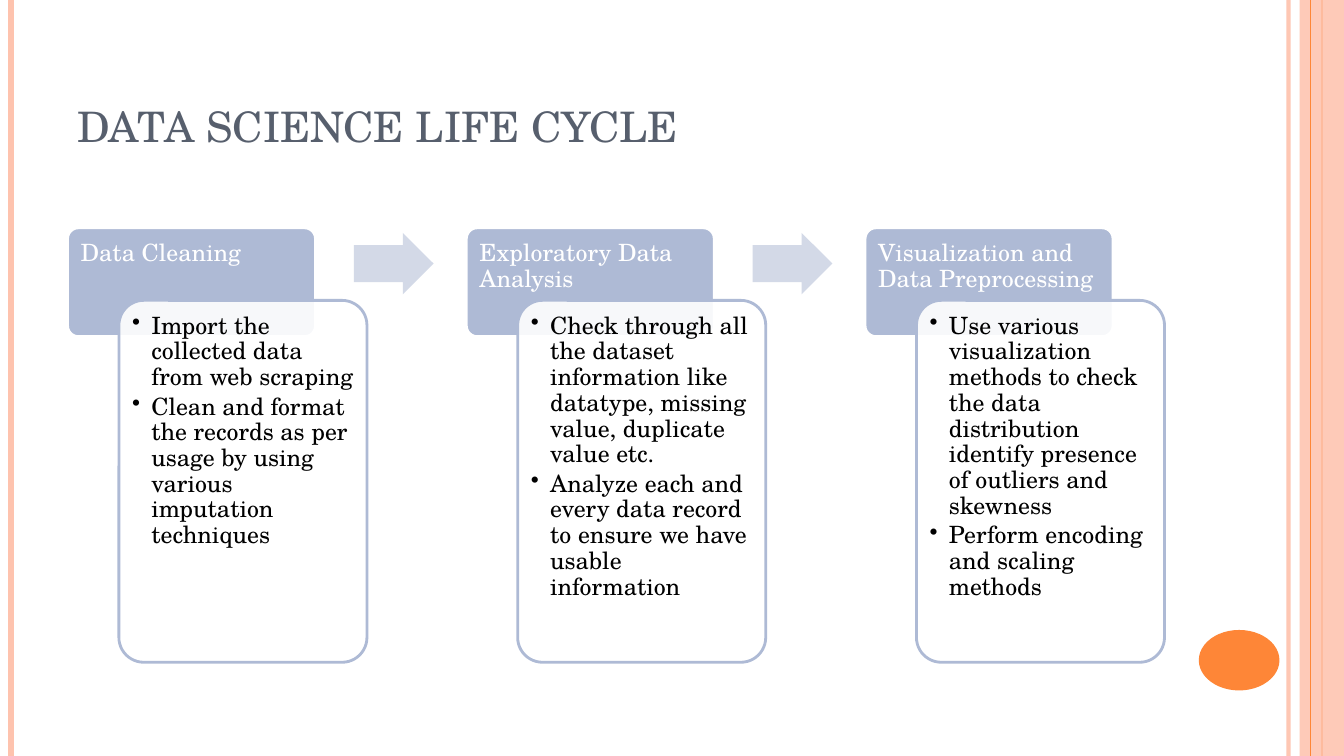
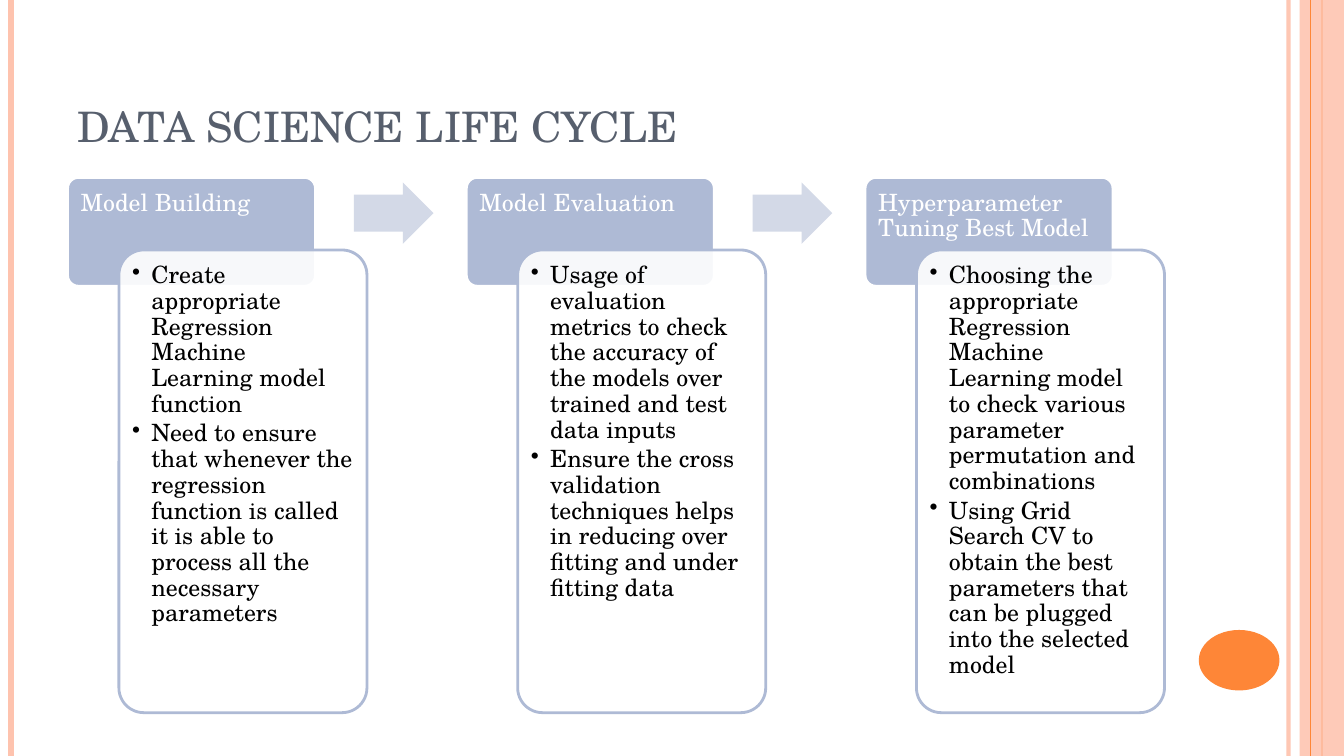
from lxml import etree
from pptx import Presentation
from pptx.dml.color import RGBColor
from pptx.enum.shapes import MSO_CONNECTOR, MSO_SHAPE
from pptx.enum.text import MSO_ANCHOR, PP_ALIGN
from pptx.oxml.ns import qn
from pptx.util import Emu, Pt

PX = 9144  # 100 px to the inch
SLIDE_W, SLIDE_H = 1333, 750
FONT = "TeX Gyre Schola"
COLORS = {
    "white": "FFFFFF",
    "black": "000000",
    "title": "575F6D",
    "peach": "FEC3AE",
    "orange": "FE8637",
    "header": "AEBAD5",
    "arrow": "D3D9E7",
}

STRAIGHT = MSO_CONNECTOR.STRAIGHT
RECT = MSO_SHAPE.RECTANGLE
ROUND_RECT = MSO_SHAPE.ROUNDED_RECTANGLE
RIGHT_ARROW = MSO_SHAPE.RIGHT_ARROW
OVAL = MSO_SHAPE.OVAL
LEFT = PP_ALIGN.LEFT
TOP, BOTTOM = MSO_ANCHOR.TOP, MSO_ANCHOR.BOTTOM

TITLE = "DATA SCIENCE LIFE CYCLE"
TITLE_BOX = (67, 30, 1089, 125)
CARD_W, HEADER_H = 246, 108
BODY_DX, BODY_DY = 51, 72
ARROW_DX, ARROW_DY, ARROW_W, ARROW_H = 284, 5, 79, 61

SLIDES = [
    ((67, 226, 1088, 431), [
        ("Data Cleaning", [
            "Import the collected data from web scraping",
            "Clean and format the records as per usage by using various "
            "imputation techniques"]),
        ("Exploratory Data Analysis", [
            "Check through all the dataset information like datatype, "
            "missing value, duplicate value etc.",
            "Analyze each and every data record to ensure we have usable "
            "information"]),
        ("Visualization and Data Preprocessing", [
            "Use various visualization methods to check the data "
            "distribution identify presence of outliers and skewness",
            "Perform encoding and scaling methods"]),
    ]),
    ((67, 176, 1088, 531), [
        ("Model Building", [
            "Create appropriate Regression Machine Learning model function",
            "Need to ensure that whenever the regression function is called "
            "it is able to process all the necessary parameters"]),
        ("Model Evaluation", [
            "Usage of evaluation metrics to check the accuracy of the models "
            "over trained and test data inputs",
            "Ensure the cross validation techniques helps in reducing over "
            "fitting and under fitting data"]),
        ("Hyperparameter Tuning Best Model", [
            "Choosing the appropriate Regression Machine Learning model to "
            "check various parameter permutation and combinations",
            "Using Grid Search CV to obtain the best parameters that can be "
            "plugged into the selected model"]),
    ]),
]


def px(n):
    return Emu(round(n * PX))


def rgb(name):
    return RGBColor.from_string(COLORS[name])


def set_alpha(parent, percent):
    """Make the solid fill of a shape or line partly transparent."""
    clr = parent.find(qn("a:solidFill")).find(qn("a:srgbClr"))
    etree.SubElement(clr, qn("a:alpha")).set("val", str(percent * 1000))


def add_box(slide, kind, box, fill, line=None, alpha=None, adj=()):
    sp = slide.shapes.add_shape(kind, *map(px, box))
    sp.shadow.inherit = False
    sp.fill.solid()
    sp.fill.fore_color.rgb = rgb(fill)
    if alpha:
        set_alpha(sp.element.spPr, alpha)
    if line:
        sp.line.color.rgb = rgb(line)
        sp.line.width = Pt(2)
    else:
        sp.line.fill.background()
    for i, value in enumerate(adj):
        sp.adjustments[i] = value
    return sp


def add_rail(slide, x, color, width, alpha=None):
    """Vertical line over the full height of the slide."""
    cx = slide.shapes.add_connector(STRAIGHT, px(x), 0, px(x), px(SLIDE_H))
    cx.line.color.rgb = rgb(color)
    cx.line.width = Pt(width)
    if alpha:
        set_alpha(cx.element.spPr.find(qn("a:ln")), alpha)
    etree.SubElement(cx.element.spPr, qn("a:effectLst"))


def prepare_frame(sp, inset, anchor=TOP):
    tf = sp.text_frame
    tf.word_wrap = True
    tf.vertical_anchor = anchor
    tf.margin_left, tf.margin_top, tf.margin_right, tf.margin_bottom = map(px, inset)
    return tf


def add_run(p, text, size, color):
    p.alignment = LEFT
    r = p.add_run()
    r.text = text
    r.font.name = FONT
    r.font.size = Pt(size)
    r.font.color.rgb = rgb(color)


def set_bullet(p, indent):
    pPr = p._p.get_or_add_pPr()
    pPr.set("marL", str(px(indent)))
    pPr.set("indent", str(-px(indent)))
    etree.SubElement(pPr, qn("a:buChar")).set("char", "•")


def add_frame(slide):
    """Rails, side band and disc that every slide carries."""
    add_rail(slide, 1278, "peach", 3, alpha=93)
    add_rail(slide, 11, "peach", 4.5)
    add_rail(slide, 1311, "orange", 1.5)
    add_box(slide, RECT, (1289, 0, SLIDE_W - 1289, SLIDE_H), "peach", alpha=87)
    add_rail(slide, 1300, "orange", 0.75)
    add_box(slide, OVAL, (1189, 625, 80, 60), "orange")


def add_title(slide, text, box):
    sp = slide.shapes.add_textbox(*map(px, box))
    tf = prepare_frame(sp, (10, 5, 10, 5), BOTTOM)
    add_run(tf.paragraphs[0], text, 30, "title")


def add_step(slide, box, heading, points):
    """Heading card with a bulleted card overlapping its lower right."""
    x, y, w, h = box
    header = add_box(slide, ROUND_RECT, (x, y, CARD_W, HEADER_H),
                     "header", "white", adj=[0.1])
    p = prepare_frame(header, (10, 10, 10, 4)).paragraphs[0]
    p.line_spacing = 0.9
    add_run(p, heading, 17, "white")

    body = add_box(slide, ROUND_RECT,
                   (x + BODY_DX, y + BODY_DY, w - BODY_DX, h - BODY_DY),
                   "white", "header", alpha=90, adj=[0.1])
    tf = prepare_frame(body, (6, 6, 6, 6))
    for i, point in enumerate(points):
        p = tf.add_paragraph() if i else tf.paragraphs[0]
        p.line_spacing = 0.9
        p.space_after = Pt(2.7)
        set_bullet(p, 19)
        add_run(p, point, 17, "black")


def add_flow(slide, box, steps):
    """Steps spread evenly over the box, with an arrow between neighbours."""
    x, y, w, h = box
    step_w = CARD_W + BODY_DX
    pitch = (w - step_w) / (len(steps) - 1)
    for i, (heading, points) in enumerate(steps):
        left = x + i * pitch
        add_step(slide, (left, y, step_w, h), heading, points)
        if i < len(steps) - 1:
            add_box(slide, RIGHT_ARROW,
                    (left + ARROW_DX, y + ARROW_DY, ARROW_W, ARROW_H),
                    "arrow", adj=[0.6, 0.5])


def main():
    prs = Presentation()
    prs.slide_width, prs.slide_height = px(SLIDE_W), px(SLIDE_H)
    for box, steps in SLIDES:
        slide = prs.slides.add_slide(prs.slide_layouts[6])
        add_frame(slide)
        add_title(slide, TITLE, TITLE_BOX)
        add_flow(slide, box, steps)
    prs.save("out.pptx")


if __name__ == "__main__":
    main()
